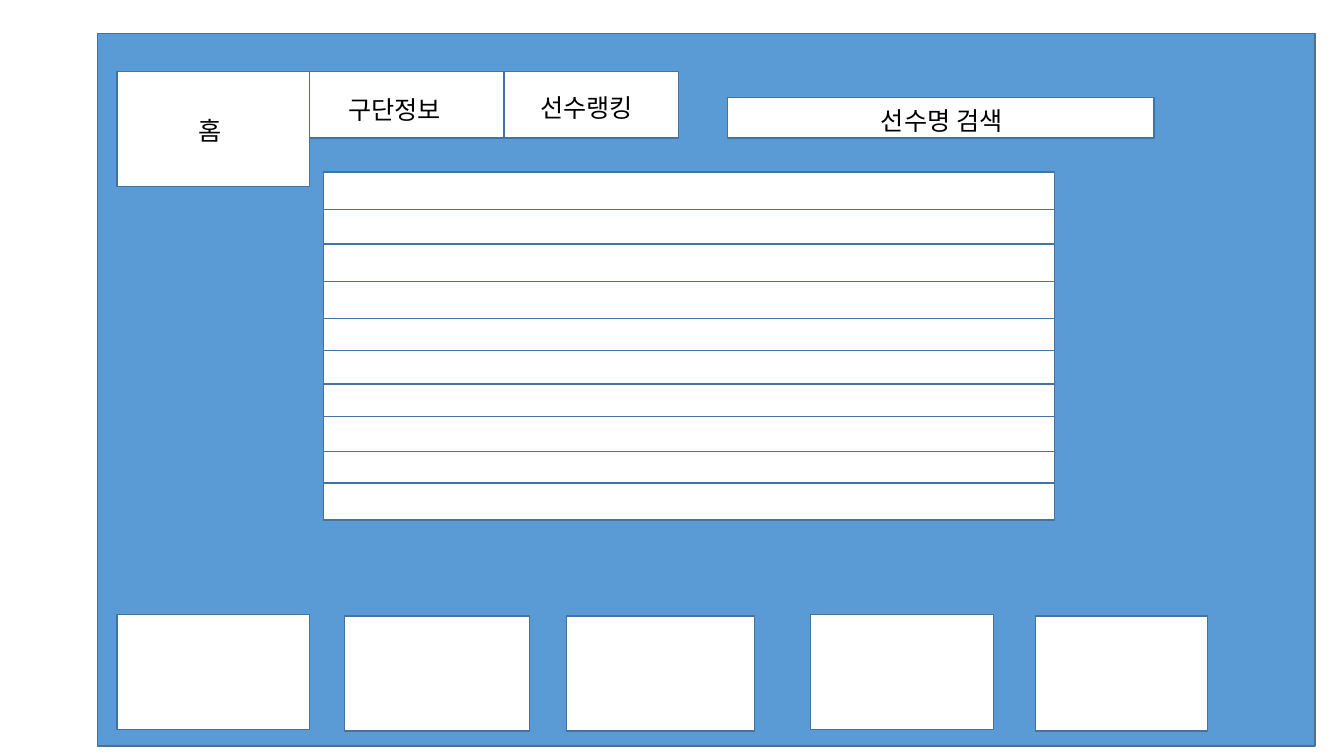
from lxml.etree import SubElement
from pptx import Presentation
from pptx.dml.color import RGBColor
from pptx.enum.shapes import MSO_SHAPE as Preset
from pptx.enum.text import MSO_AUTO_SIZE as AutoSize, PP_ALIGN as Align
from pptx.oxml.ns import qn
from pptx.util import Cm, Pt

COLORS = {"page": "5B9BD5", "panel": "FFFFFF", "border": "43739E", "text": "000000"}
FONT = "Noto Sans CJK KR"

LIST_LEFT, LIST_WIDTH, ROW_HEIGHT = 8.15, 18.42, 0.94
ROW_TOPS = [4.34, 5.28, 6.15, 7.09, 8.03, 8.84, 9.68, 10.49, 11.38, 12.17]
CARD_HEIGHT = 2.9
CARDS = [
    (2.95, 15.49, 4.85),
    (8.69, 15.52, 4.65),
    (14.27, 15.52, 4.75),
    (20.42, 15.49, 4.62),
    (26.09, 15.52, 4.34),
]
MENU_TOP, TAB_HEIGHT = 1.8, 1.68
LABEL_HEIGHT = 1.02


def add_box(slide, left, top, width, height, fill="panel"):
    box = slide.shapes.add_shape(
        Preset.RECTANGLE, Cm(left), Cm(top), Cm(width), Cm(height)
    )
    box.shadow.inherit = False
    box.fill.solid()
    box.fill.fore_color.rgb = RGBColor.from_string(COLORS[fill])
    box.line.color.rgb = RGBColor.from_string(COLORS["border"])
    box.line.width = Pt(1)


def add_label(slide, text, left, top, width, *, size=18, color="text", align=Align.LEFT):
    label = slide.shapes.add_textbox(Cm(left), Cm(top), Cm(width), Cm(LABEL_HEIGHT))
    frame = label.text_frame
    frame.word_wrap = True
    frame.auto_size = AutoSize.SHAPE_TO_FIT_TEXT
    paragraph = frame.paragraphs[0]
    paragraph.alignment = align
    run = paragraph.add_run()
    run.text = text
    run.font.size = Pt(size)
    run.font.name = FONT
    run.font.color.rgb = RGBColor.from_string(COLORS[color])
    SubElement(run._r.get_or_add_rPr(), qn("a:ea")).set("typeface", FONT)


def add_player_list(slide):
    for top in ROW_TOPS:
        add_box(slide, LIST_LEFT, top, LIST_WIDTH, ROW_HEIGHT)


def add_cards(slide):
    for left, top, width in CARDS:
        add_box(slide, left, top, width, CARD_HEIGHT)


def add_menu(slide):
    add_box(slide, 2.95, MENU_TOP, 4.85, CARD_HEIGHT)
    add_box(slide, 12.6, MENU_TOP, 4.5, TAB_HEIGHT)
    add_box(slide, 7.8, MENU_TOP, 4.9, TAB_HEIGHT)
    add_label(slide, "홈", 4.75, 2.77, 2.72)
    add_label(slide, "선수랭킹", 13.36, 2.21, 3.28)
    add_label(slide, "구단정보", 8.53, 2.24, 3.68)


def add_search(slide):
    add_box(slide, 18.34, 2.46, 10.74, LABEL_HEIGHT)
    add_label(slide, "선수명 검색", 18.69, 2.54, 10.08, align=Align.CENTER)


def main():
    deck = Presentation()
    deck.slide_width, deck.slide_height = Cm(33.87), Cm(19.05)
    slide = deck.slides.add_slide(deck.slide_layouts[6])
    add_box(slide, 2.46, 0.84, 30.68, 17.96, fill="page")
    add_player_list(slide)
    add_cards(slide)
    add_menu(slide)
    add_search(slide)
    deck.save("out.pptx")


if __name__ == "__main__":
    main()
